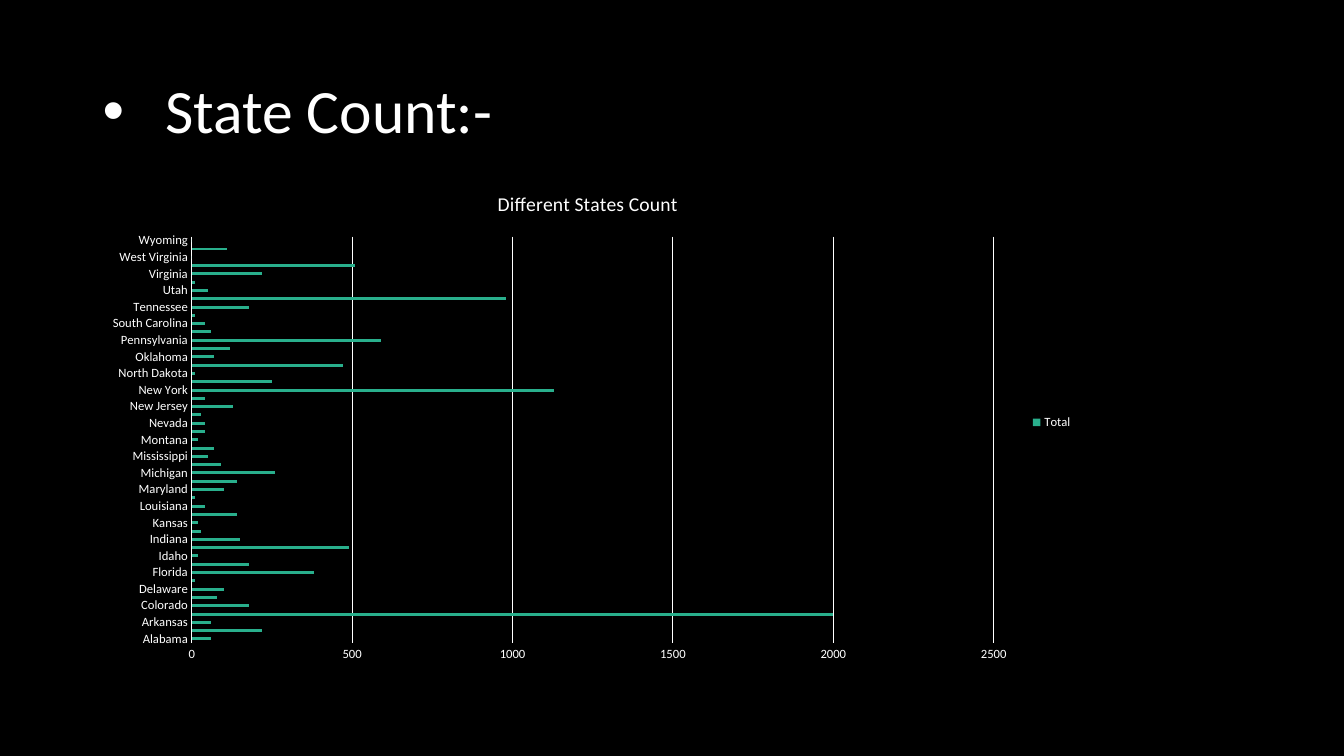
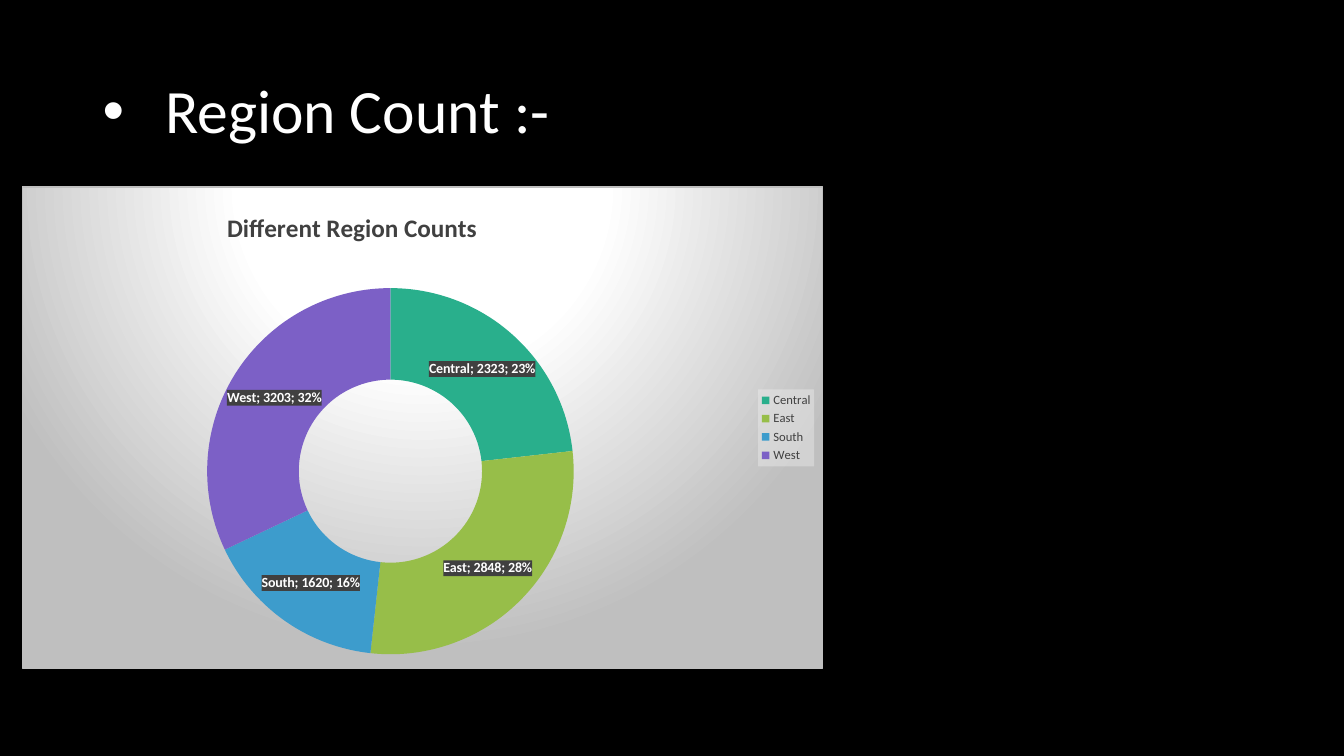
import pptx
import pptx.util
import pptx.dml.color
import pptx.chart.data
import pptx.enum.chart
import pptx.enum.text
import pptx.oxml
import pptx.oxml.ns

Inches = pptx.util.Inches
Pt = pptx.util.Pt
qn = pptx.oxml.ns.qn
KIND = pptx.enum.chart.XL_CHART_TYPE
TICK = pptx.enum.chart.XL_TICK_MARK

FONT = "Calibri"
BLACK, WHITE, DARK, GREY = "000000", "FFFFFF", "404040", "BFBFBF"
GREEN = "29AF8C"
SLICES = [GREEN, "97BE49", "3D9CCC", "7C60C6"]

STATES = [
    ("Alabama", 60), ("Arizona", 220), ("Arkansas", 60),
    ("California", 2000), ("Colorado", 180), ("Connecticut", 80),
    ("Delaware", 100), ("District of Columbia", 10), ("Florida", 380),
    ("Georgia", 180), ("Idaho", 20), ("Illinois", 490), ("Indiana", 150),
    ("Iowa", 30), ("Kansas", 20), ("Kentucky", 140), ("Louisiana", 40),
    ("Maine", 10), ("Maryland", 100), ("Massachusetts", 140),
    ("Michigan", 260), ("Minnesota", 90), ("Mississippi", 50),
    ("Missouri", 70), ("Montana", 20), ("Nebraska", 40), ("Nevada", 40),
    ("New Hampshire", 30), ("New Jersey", 130), ("New Mexico", 40),
    ("New York", 1130), ("North Carolina", 250), ("North Dakota", 10),
    ("Ohio", 470), ("Oklahoma", 70), ("Oregon", 120),
    ("Pennsylvania", 590), ("Rhode Island", 60), ("South Carolina", 40),
    ("South Dakota", 10), ("Tennessee", 180), ("Texas", 980), ("Utah", 50),
    ("Vermont", 10), ("Virginia", 220), ("Washington", 510),
    ("West Virginia", 0), ("Wisconsin", 110), ("Wyoming", 0),
]
REGIONS = [("Central", 2323), ("East", 2848), ("South", 1620), ("West", 3203)]


def rgb(code):
    return pptx.dml.color.RGBColor.from_string(code)


def style(font, size, color, bold=False):
    font.name = FONT
    font.size = Pt(size)
    font.bold = bold
    font.color.rgb = rgb(color)


def ink(line, color):
    line.color.rgb = rgb(color)
    line.width = Pt(0.75)


def solid(color, alpha):
    return (f'<a:solidFill><a:srgbClr val="{color}">'
            f'<a:alpha val="{alpha * 1000}"/></a:srgbClr></a:solidFill>')


def radial(stops):
    marks = "".join(f'<a:gs pos="{pos * 1000}"><a:srgbClr val="{color}"/></a:gs>'
                    for pos, color in stops)
    return (f'<a:gradFill><a:gsLst>{marks}</a:gsLst><a:path path="circle">'
            '<a:fillToRect l="50000" t="-80000" r="50000" b="180000"/>'
            '</a:path></a:gradFill>')


def paint(node, fill, edge="<a:noFill/>"):
    spaces = pptx.oxml.ns.nsdecls("c", "a")
    props = pptx.oxml.parse_xml(
        f'<c:spPr {spaces}>{fill}<a:ln w="9525">{edge}</a:ln></c:spPr>')
    node.find(qn("c:txPr")).addprevious(props)


def place(node, index, inner=False, **box):
    for old in node.findall(qn("c:layout")):
        node.remove(old)
    target = '<c:layoutTarget val="inner"/>' if inner else ""
    modes = '<c:xMode val="edge"/><c:yMode val="edge"/>'
    sizes = "".join(f'<c:{key} val="{val}"/>' for key, val in box.items())
    spaces = pptx.oxml.ns.nsdecls("c")
    node.insert(index, pptx.oxml.parse_xml(
        f"<c:layout {spaces}><c:manualLayout>{target}{modes}{sizes}"
        "</c:manualLayout></c:layout>"))


def add_page(deck, title):
    page = deck.slides.add_slide(deck.slide_layouts[6])
    page.background.fill.solid()
    page.background.fill.fore_color.rgb = rgb(BLACK)
    box = page.shapes.add_textbox(
        Inches(0.92), Inches(0.4), Inches(11.5), Inches(1.45))
    frame = box.text_frame
    frame.word_wrap = True
    frame.vertical_anchor = pptx.enum.text.MSO_ANCHOR.MIDDLE
    frame.text = title
    para = frame.paragraphs[0]
    para.line_spacing = 0.9
    style(para.runs[0].font, 44, WHITE)
    props = para._p.get_or_add_pPr()
    props.set("marL", str(Inches(0.62)))
    props.set("indent", str(Inches(-0.62)))
    spaces = pptx.oxml.ns.nsdecls("a")
    for tag in ('buFont {} typeface="Arial"', 'buChar {} char="•"'):
        props.append(pptx.oxml.parse_xml(f"<a:{tag.format(spaces)}/>"))
    return page


def add_chart(page, kind, area, name, rows, title, look, key):
    data = pptx.chart.data.CategoryChartData()
    data.categories = [label for label, _ in rows]
    data.add_series(name, [count for _, count in rows])
    chart = page.shapes.add_chart(kind, *map(Inches, area), data).chart
    style(chart.font, 10, WHITE)
    chart.has_title = True
    frame = chart.chart_title.text_frame
    frame.text = title
    style(frame.paragraphs[0].runs[0].font, *look)
    chart.has_legend = True
    chart.legend.position = pptx.enum.chart.XL_LEGEND_POSITION.RIGHT
    chart.legend.include_in_layout = False
    style(chart.legend.font, 9, key)
    return chart


def add_states(deck):
    page = add_page(deck, "State Count:-")
    chart = add_chart(page, KIND.BAR_CLUSTERED, (0.92, 1.7, 9.82, 4.98),
                      "Total", STATES, "Different States Count",
                      (14, WHITE), WHITE)
    paint(chart.element, "<a:noFill/>")
    place(chart.element.find(".//" + qn("c:plotArea")), 0, True,
          x=0.1, y=0.13, w=0.81, h=0.81)
    plot = chart.plots[0]
    plot.vary_by_categories = False
    plot.gap_width = 182
    bars = plot.series[0].format.fill
    bars.solid()
    bars.fore_color.rgb = rgb(GREEN)
    for axis in (chart.category_axis, chart.value_axis):
        axis.major_tick_mark = axis.minor_tick_mark = TICK.NONE
        style(axis.tick_labels.font, 9, WHITE)
    ink(chart.category_axis.format.line, WHITE)
    scale = chart.value_axis
    scale.minimum_scale, scale.maximum_scale, scale.major_unit = 0, 2500, 500
    scale.format.line.fill.background()
    scale.has_major_gridlines = True
    ink(scale.major_gridlines.format.line, WHITE)


def add_regions(deck):
    page = add_page(deck, "Region Count :-")
    chart = add_chart(page, KIND.DOUGHNUT, (0.22, 1.85, 7.94, 4.79),
                      "Series 1", REGIONS, "Different Region Counts",
                      (18, DARK, True), DARK)
    root = chart.element
    paint(root, radial([(0, WHITE), (39, WHITE), (100, GREY)]),
          solid(GREY, 100))
    place(root.find(".//" + qn("c:plotArea")), 0, True,
          x=0.23, y=0.21, w=0.46, h=0.76)
    place(root.find(".//" + qn("c:title")), 1, x=0.25, y=0.04)
    legend = root.find(".//" + qn("c:legend"))
    place(legend, 1, x=0.92, y=0.42, w=0.07, h=0.16)
    paint(legend, solid("F2F2F2", 39))
    plot = chart.plots[0]
    plot.vary_by_categories = True
    for index, color in enumerate(SLICES):
        point = plot.series[0].points[index].format
        point.fill.solid()
        point.fill.fore_color.rgb = rgb(color)
        point.line.fill.background()
    labels = plot.series[0].data_labels
    labels.show_category_name = True
    labels.show_value = True
    labels.show_percentage = True
    style(labels.font, 10, WHITE, True)
    node = root.find(".//" + qn("c:ser")).find(qn("c:dLbls"))
    paint(node, solid(DARK, 90))
    spaces = pptx.oxml.ns.nsdecls("c")
    mark = pptx.oxml.parse_xml(f"<c:separator {spaces}>; </c:separator>")
    last = node.find(qn("c:showBubbleSize"))
    if last is None:
        last = node.find(qn("c:showPercent"))
    last.addnext(mark)


def main():
    deck = pptx.Presentation()
    deck.slide_width = Inches(13.33)
    deck.slide_height = Inches(7.5)
    add_states(deck)
    add_regions(deck)
    deck.save("out.pptx")


if __name__ == "__main__":
    main()
